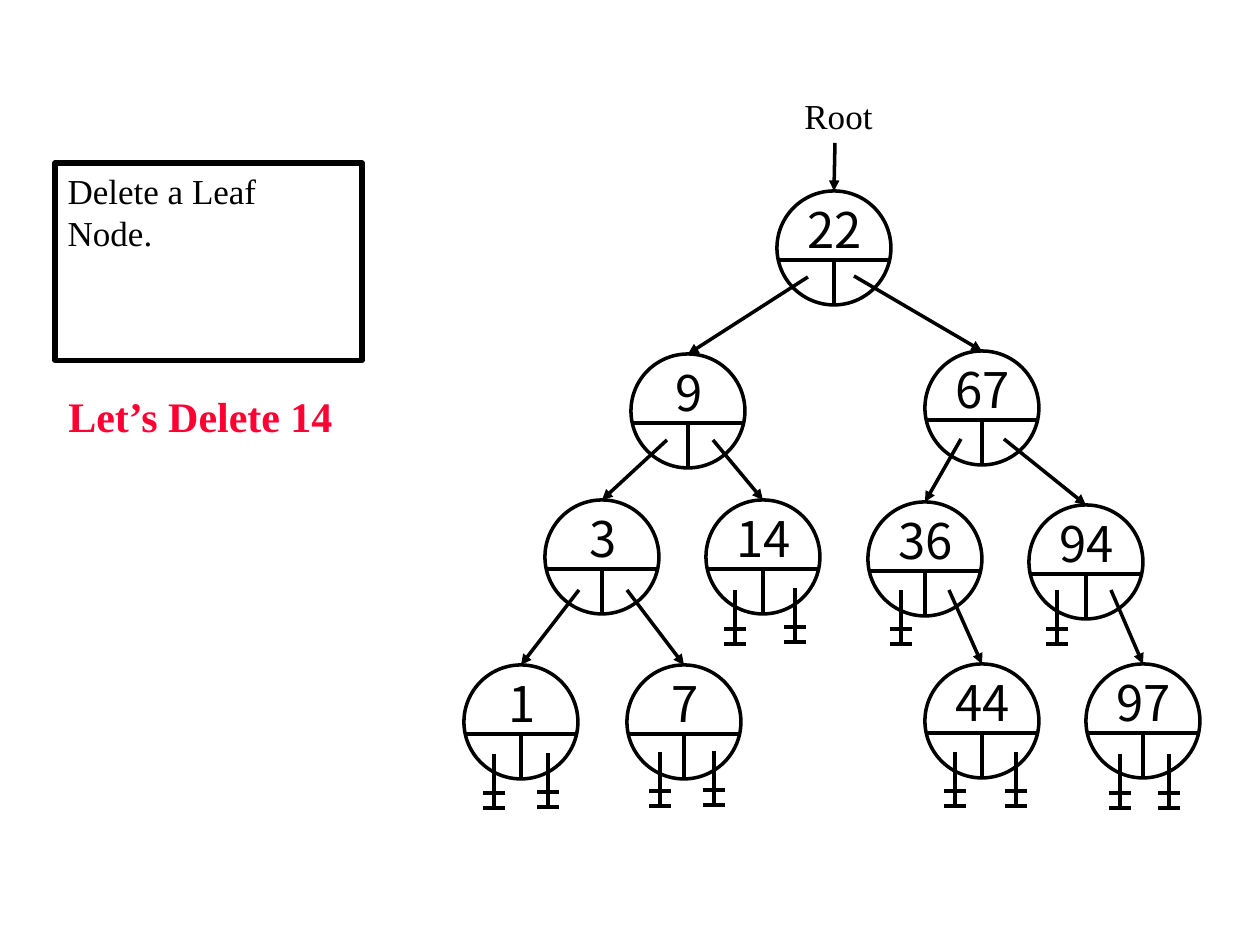
import pptx
import pptx.util
import pptx.dml.color
import pptx.enum.shapes
import pptx.enum.text
import pptx.oxml.ns
from lxml import etree

BLACK = pptx.dml.color.RGBColor(0x00, 0x00, 0x00)
RED = pptx.dml.color.RGBColor(0xFF, 0x00, 0x33)
SERIF = "Times New Roman"
SANS = "Noto Sans CJK KR"
PX = 914400 // 126

# key: (centre x, top)
NODES = {
    22: (834, 191),
    9: (688, 354), 67: (982, 351),
    3: (602, 500), 14: (763, 500), 36: (925, 502), 94: (1086, 505),
    1: (521, 665), 7: (684, 665), 44: (982, 664), 97: (1143, 664),
}
# (start of the link, key of the child)
LINKS = [
    ((835, 143), 22),
    ((808, 277), 9), ((854, 276), 67),
    ((667, 440), 3), ((713, 440), 14),
    ((961, 439), 36), ((1004, 439), 94),
    ((579, 590), 1), ((627, 590), 7),
    ((949, 590), 44), ((1111, 590), 97),
]
# (x, top) of each empty pointer
NULLS = [
    (735, 590), (795, 588), (901, 590), (1057, 590),
    (494, 754), (548, 753), (660, 752), (714, 751),
    (955, 752), (1016, 752), (1120, 754), (1169, 754),
]
DIAMETER = 114
DIVIDER = 69
LABEL_SIZE = (82, 72)
STEM = 56
BARS = (39, 54)
BAR_HALF = 11


def emu(*lengths):
    return [length * PX for length in lengths]


def write(box, text, size, font=SERIF, color=BLACK, bold=False,
          align=pptx.enum.text.PP_ALIGN.LEFT, before=0):
    frame = box.text_frame
    frame.word_wrap = False
    frame.auto_size = pptx.enum.text.MSO_AUTO_SIZE.SHAPE_TO_FIT_TEXT
    frame.vertical_anchor = pptx.enum.text.MSO_ANCHOR.TOP
    para = frame.paragraphs[0]
    para.alignment = align
    para.space_before = pptx.util.Pt(before)
    span = para.add_run()
    span.text = text
    span.font.name = font
    span.font.size = pptx.util.Pt(size)
    span.font.bold = bold
    span.font.color.rgb = color


def set_line(shape, width):
    shape.line.color.rgb = BLACK
    shape.line.width = pptx.util.Pt(width)


def add_line(shapes, start, end, arrow=False):
    line = shapes.add_connector(pptx.enum.shapes.MSO_CONNECTOR.STRAIGHT,
                                *emu(*start, *end))
    set_line(line, 2)
    if arrow:
        etree.SubElement(line.line._get_or_add_ln(),
                         pptx.oxml.ns.qn("a:tailEnd"), type="triangle")
    etree.SubElement(line._element.spPr, pptx.oxml.ns.qn("a:effectLst"))
    return line


def add_node(page, key, center, top):
    """Draw a circle with a key above two pointer cells; return the circle."""
    shapes = page.shapes.add_group_shape().shapes
    left = center - DIAMETER // 2
    middle = top + DIVIDER
    circle = shapes.add_shape(pptx.enum.shapes.MSO_SHAPE.OVAL,
                              *emu(left, top, DIAMETER, DIAMETER))
    circle.shadow.inherit = False
    circle.fill.background()
    set_line(circle, 2)
    add_line(shapes, (left, middle), (left + DIAMETER, middle))
    add_line(shapes, (center, middle), (center, top + DIAMETER))
    label = shapes.add_textbox(
        *emu(center - LABEL_SIZE[0] // 2 + 1, top + 2, *LABEL_SIZE))
    write(label, str(key), 28, font=SANS,
          align=pptx.enum.text.PP_ALIGN.CENTER)
    return circle


def add_null(page, x, top):
    shapes = page.shapes.add_group_shape().shapes
    add_line(shapes, (x, top), (x, top + STEM))
    for drop in BARS:
        add_line(shapes, (x - BAR_HALF, top + drop), (x + BAR_HALF, top + drop))


def main():
    deck = pptx.Presentation()
    deck.slide_width, deck.slide_height = emu(1260, 945)
    page = deck.slides.add_slide(deck.slide_layouts[5])

    title = page.shapes.title
    title.left, title.top, title.width, title.height = emu(55, 163, 307, 54)
    set_line(title, 3)
    write(title, "Delete a Leaf Node.", 20, before=5)
    write(page.shapes.add_textbox(*emu(792, 88, 93, 55)), "Root", 20)
    write(page.shapes.add_textbox(*emu(56, 384, 291, 63)),
          "Let’s Delete 14", 24, color=RED, bold=True)

    circles = {key: add_node(page, key, *place) for key, place in NODES.items()}
    for start, child in LINKS:
        link = add_line(page.shapes, start, NODES[child], arrow=True)
        link.end_connect(circles[child], 0)
    for place in NULLS:
        add_null(page, *place)

    deck.save("out.pptx")


if __name__ == "__main__":
    main()
